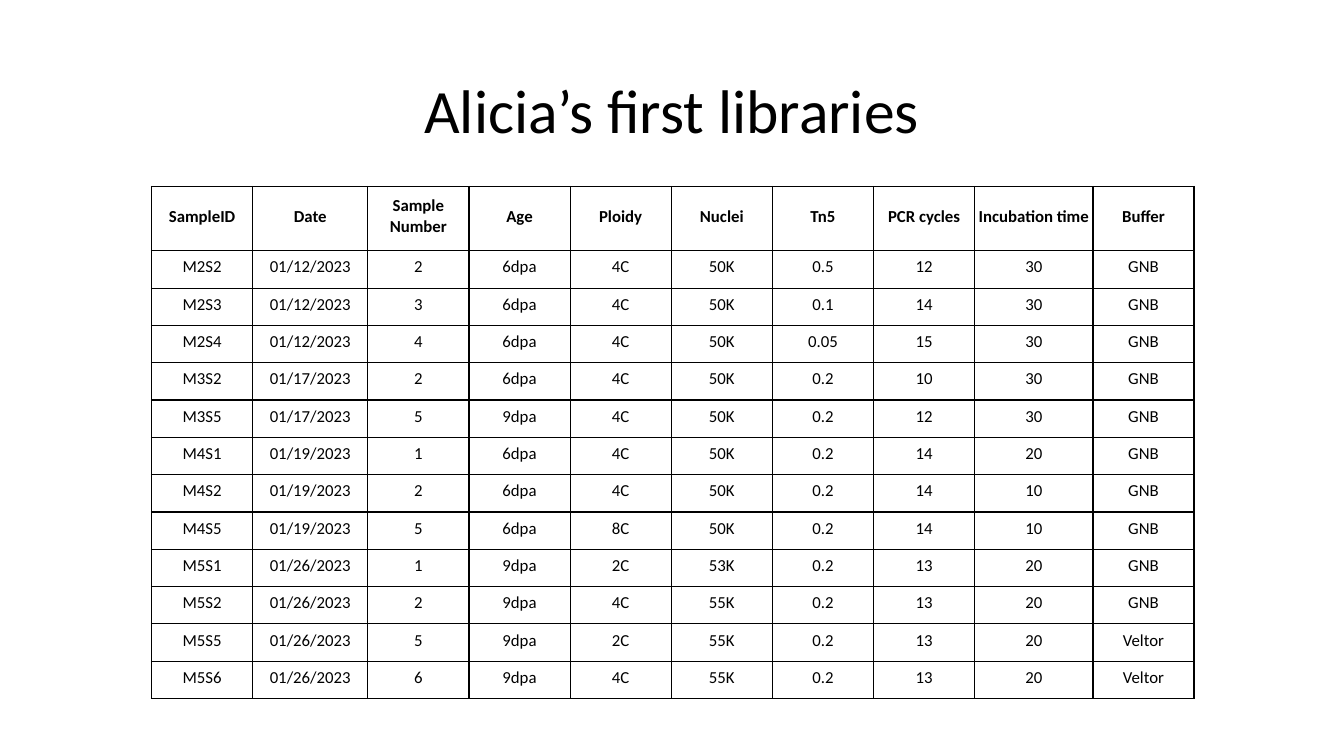
from lxml import etree
from pptx import Presentation
from pptx import util as u
from pptx.dml.color import RGBColor
from pptx.enum import text
from pptx.oxml import ns

COLORS = {"ink": "000000", "paper": "FFFFFF"}
FONT = "Calibri"
HEADERS = ["SampleID", "Date", "Sample Number", "Age", "Ploidy", "Nuclei",
           "Tn5", "PCR cycles", "Incubation time", "Buffer"]
LIBRARIES = """
M2S2 01/12/2023 2 6dpa 4C 50K 0.5 12 30 GNB
M2S3 01/12/2023 3 6dpa 4C 50K 0.1 14 30 GNB
M2S4 01/12/2023 4 6dpa 4C 50K 0.05 15 30 GNB
M3S2 01/17/2023 2 6dpa 4C 50K 0.2 10 30 GNB
M3S5 01/17/2023 5 9dpa 4C 50K 0.2 12 30 GNB
M4S1 01/19/2023 1 6dpa 4C 50K 0.2 14 20 GNB
M4S2 01/19/2023 2 6dpa 4C 50K 0.2 14 10 GNB
M4S5 01/19/2023 5 6dpa 8C 50K 0.2 14 10 GNB
M5S1 01/26/2023 1 9dpa 2C 53K 0.2 13 20 GNB
M5S2 01/26/2023 2 9dpa 4C 55K 0.2 13 20 GNB
M5S5 01/26/2023 5 9dpa 2C 55K 0.2 13 20 Veltor
M5S6 01/26/2023 6 9dpa 4C 55K 0.2 13 20 Veltor
"""
COLUMN_WIDTHS = {"Date": 2.9, "Incubation time": 2.98}
CELL_FORMAT = {
    "margin_left": u.Cm(0.02), "margin_top": u.Cm(0.02),
    "margin_right": u.Cm(0.02), "margin_bottom": u.Cm(0.13),
    "vertical_anchor": text.MSO_ANCHOR.MIDDLE,
}


def write(para, words, size, bold=False):
    """Fill a paragraph with one centred span."""
    para.alignment = text.PP_ALIGN.CENTER
    span = para.add_run()
    span.text = words
    font_format = {"name": FONT, "size": u.Pt(size), "bold": bold}
    for name, value in font_format.items():
        setattr(span.font, name, value)
    span.font.color.rgb = RGBColor.from_string(COLORS["ink"])


def add_borders(cell):
    properties = cell._tc.get_or_add_tcPr()
    for index, side in enumerate(("lnL", "lnR", "lnT", "lnB")):
        line = etree.Element(ns.qn(f"a:{side}"), w=str(u.Pt(1)))
        fill = etree.SubElement(line, ns.qn("a:solidFill"))
        etree.SubElement(fill, ns.qn("a:srgbClr"), val=COLORS["ink"])
        properties.insert(index, line)


deck = Presentation()
deck.slide_width, deck.slide_height = u.Cm(33.87), u.Cm(19.05)
page = deck.slides.add_slide(deck.slide_layouts[6])
page.background.fill.solid()
page.background.fill.fore_color.rgb = RGBColor.from_string(COLORS["paper"])

title_box = page.shapes.add_textbox(u.Cm(2.33), u.Cm(1.01), u.Cm(29.21), u.Cm(3.68))
title_box.text_frame.word_wrap = True
title_box.text_frame.vertical_anchor = text.MSO_ANCHOR.MIDDLE
title = title_box.text_frame.paragraphs[0]
title.line_spacing = 0.9
write(title, "Alicia’s first libraries", 44)

rows = [HEADERS] + [line.split() for line in LIBRARIES.strip().splitlines()]
table = page.shapes.add_table(len(rows), len(HEADERS), u.Cm(3.82), u.Cm(4.7),
                              u.Cm(26.28), u.Cm(12.9)).table
table.horz_banding = False
for column, header in zip(table.columns, HEADERS):
    column.width = u.Cm(COLUMN_WIDTHS.get(header, 2.55))

for row_index, values in enumerate(rows):
    is_header = row_index == 0
    table.rows[row_index].height = u.Cm(1.62 if is_header else 0.94)
    for column_index, value in enumerate(values):
        cell = table.cell(row_index, column_index)
        for name, setting in CELL_FORMAT.items():
            setattr(cell, name, setting)
        cell.fill.background()
        add_borders(cell)
        write(cell.text_frame.paragraphs[0], value, 12, bold=is_header)

deck.save("out.pptx")
